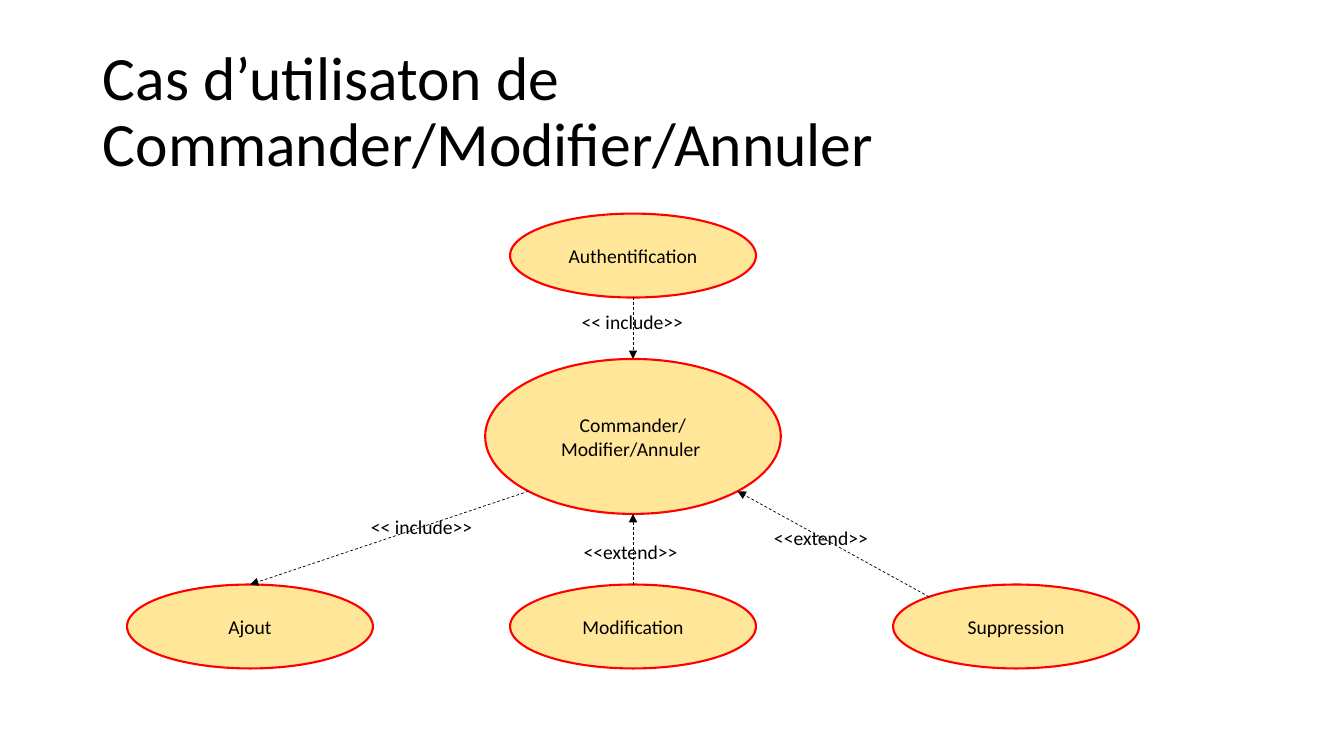
from dataclasses import dataclass

from lxml import etree
from pptx import Presentation, util as u
from pptx.dml.color import RGBColor
from pptx.enum import dml, shapes, text
from pptx.oxml.ns import qn


@dataclass(frozen=True)
class Theme:
    font: str = "Calibri"
    ink: RGBColor = RGBColor(0, 0, 0)
    case_fill: RGBColor = RGBColor(0xFF, 0xE6, 0x99)
    case_line: RGBColor = RGBColor(0xFF, 0, 0)
    title_size: int = 44
    body_size: int = 14


THEME = Theme()
SLIDE_W, SLIDE_H = u.Inches(13.333), u.Inches(7.5)
# All lengths below are percentages of the slide's width or height.
LEFT, MIDDLE, RIGHT = (18.6 + 28.5 * column for column in range(3))
TOP_ROW, MAIN_ROW, BOTTOM_ROW = 33.8, 57.73, 82.87
CASE_SIZE, MAIN_SIZE = (18.3, 11.1), (22, 20.5)
LABEL_HEIGHT = 4.53
TOP, BOTTOM = (0, -1), (0, 1)
DIAGONAL = 0.5 ** 0.5
TOP_LEFT = (-DIAGONAL, -DIAGONAL)
BOTTOM_LEFT, BOTTOM_RIGHT = (-DIAGONAL, DIAGONAL), (DIAGONAL, DIAGONAL)


def across(share):
    return round(SLIDE_W * share / 100)


def down(share):
    return round(SLIDE_H * share / 100)


def box(left, top, width, height):
    return across(left), down(top), across(width), down(height)


def write(frame, wording, size, align):
    frame.text = wording
    paragraph = frame.paragraphs[0]
    paragraph.alignment = align
    font = paragraph.runs[0].font
    font.name, font.size = THEME.font, u.Pt(size)
    font.color.rgb = THEME.ink


def place_title(slide, wording):
    title = slide.shapes.title
    title.left, title.top, title.width, title.height = box(6.9, 5.33, 86.25, 19.33)
    frame = title.text_frame
    write(frame, wording, THEME.title_size, text.PP_ALIGN.LEFT)
    frame.paragraphs[0].line_spacing = 0.9
    frame.vertical_anchor = text.MSO_ANCHOR.MIDDLE
    frame.auto_size = text.MSO_AUTO_SIZE.NONE
    frame.word_wrap = True


def add_use_case(slide, wording, column, row, size=CASE_SIZE):
    """Draw an ellipse centred on a column and a row."""
    width, height = size
    case = slide.shapes.add_shape(
        shapes.MSO_SHAPE.OVAL,
        *box(column - width / 2, row - height / 2, width, height))
    case.shadow.inherit = False
    case.fill.solid()
    case.fill.fore_color.rgb = THEME.case_fill
    case.line.color.rgb = THEME.case_line
    case.line.width = u.Pt(1.5)
    case.text_frame.vertical_anchor = text.MSO_ANCHOR.MIDDLE
    write(case.text_frame, wording, THEME.body_size, text.PP_ALIGN.CENTER)
    return case


def rim_point(case, direction):
    """Return the point of the ellipse's outline in a unit direction."""
    x, y = direction
    return (round(case.left + case.width * (1 + x) / 2),
            round(case.top + case.height * (1 + y) / 2))


def add_dependency(slide, source, source_side, target, target_side):
    arrow = slide.shapes.add_connector(
        shapes.MSO_CONNECTOR.STRAIGHT,
        *rim_point(source, source_side), *rim_point(target, target_side))
    if source_side == TOP:
        arrow.begin_connect(source, 0)
    if target_side == TOP:
        arrow.end_connect(target, 0)
    arrow.line.color.rgb = THEME.ink
    arrow.line.width = u.Pt(0.5)
    arrow.line.dash_style = dml.MSO_LINE.DASH
    etree.SubElement(arrow.line._get_or_add_ln(), qn("a:tailEnd"), type="triangle")
    etree.SubElement(arrow._element.spPr, qn("a:effectLst"))


def add_stereotype(slide, wording, left, top, width, wrap):
    label = slide.shapes.add_textbox(*box(left, top, width, LABEL_HEIGHT))
    frame = label.text_frame
    frame.word_wrap = wrap
    frame.auto_size = text.MSO_AUTO_SIZE.SHAPE_TO_FIT_TEXT
    write(frame, wording, THEME.body_size, text.PP_ALIGN.LEFT)


def main():
    deck = Presentation()
    deck.slide_width, deck.slide_height = SLIDE_W, SLIDE_H
    slide = deck.slides.add_slide(deck.slide_layouts.get_by_name("Title Only"))
    place_title(slide, "Cas d’utilisaton de Commander/Modifier/Annuler")

    order = add_use_case(slide, "Commander/Modifier/Annuler ", MIDDLE, MAIN_ROW, MAIN_SIZE)
    login = add_use_case(slide, "Authentification", MIDDLE, TOP_ROW)
    addition, change, removal = (
        add_use_case(slide, wording, column, BOTTOM_ROW)
        for wording, column in (("Ajout", LEFT), ("Modification", MIDDLE),
                                ("Suppression", RIGHT)))

    add_dependency(slide, login, BOTTOM, order, TOP)
    add_dependency(slide, order, BOTTOM_LEFT, addition, TOP)
    add_dependency(slide, change, TOP, order, BOTTOM)
    add_dependency(slide, removal, TOP_LEFT, order, BOTTOM_RIGHT)

    for left, top in ((26.85, 67.47), (42.53, 40.4)):
        add_stereotype(slide, "<< include>>", left, top, 9.15, wrap=False)
    for left, top in ((56.85, 68.93), (42.68, 70.8)):
        add_stereotype(slide, "<<extend>>", left, top, 8.85, wrap=True)

    deck.save("out.pptx")


if __name__ == "__main__":
    main()
